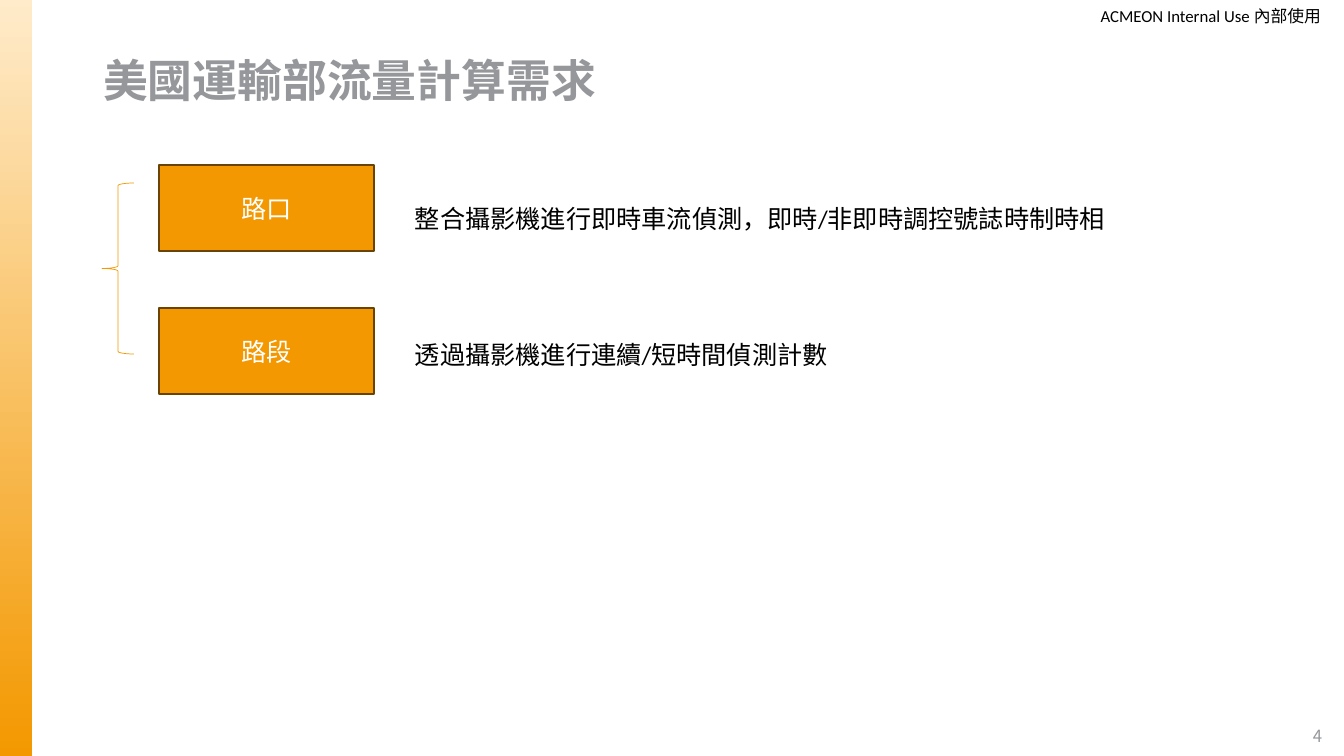
from dataclasses import dataclass

from lxml.etree import SubElement
from pptx import Presentation
from pptx.dml.color import RGBColor
from pptx.enum.shapes import MSO_SHAPE as Preset
from pptx.enum.text import MSO_ANCHOR as Anchor, PP_ALIGN as Align
from pptx.oxml.ns import qn
from pptx.util import Emu, Pt

SLIDE_WIDTH, SLIDE_HEIGHT = 1344, 756
SCALE = 914400 / 100.8


def px(length):
    return Emu(round(length * SCALE))


@dataclass(frozen=True)
class Theme:
    orange: str = "F39800"
    pale: str = "FFEBCA"
    outline: str = "6B4300"
    gray: str = "95979B"
    black: str = "000000"
    white: str = "FFFFFF"
    title_size: int = 32
    body_size: int = 18
    small_size: int = 12
    latin: str = "Calibri"
    cjk: str = "Noto Sans CJK TC"
    number: str = "Noto Sans CJK SC"


class SlideBuilder:
    def __init__(self, slide, theme):
        self.slide = slide
        self.theme = theme

    def set_text(self, shape, text, size, color, align=Align.LEFT,
                 anchor=Anchor.MIDDLE, bold=False, font=None, inset=None):
        frame = shape.text_frame
        frame.word_wrap = True
        frame.vertical_anchor = anchor
        if inset is not None:
            frame.margin_left = frame.margin_right = px(inset)
            frame.margin_top = frame.margin_bottom = px(inset)
        paragraph = frame.paragraphs[0]
        paragraph.alignment = align
        run = paragraph.add_run()
        run.text = text
        run.font.size = Pt(size)
        run.font.bold = bold
        run.font.color.rgb = RGBColor.from_string(color)
        run.font.name = font or self.theme.latin
        east_asian = SubElement(run.font._element, qn("a:ea"))
        east_asian.set("typeface", self.theme.cjk)
        return paragraph

    def title(self, text, *box):
        shape = self.slide.shapes.title
        shape.left, shape.top, shape.width, shape.height = map(px, box)
        paragraph = self.set_text(shape, text, self.theme.title_size, self.theme.gray,
                                  bold=True, font=self.theme.cjk)
        paragraph.line_spacing = 0.9

    def text(self, text, box, size, color, **style):
        shape = self.slide.shapes.add_textbox(*map(px, box))
        self.set_text(shape, text, size, color, **style)

    def shape(self, preset, box, line=None, width=1.0):
        shape = self.slide.shapes.add_shape(preset, *map(px, box))
        shape.shadow.inherit = False
        shape.fill.background()
        if line:
            shape.line.color.rgb = RGBColor.from_string(line)
            shape.line.width = Pt(width)
        else:
            shape.line.fill.background()
        return shape

    def side_band(self, *box):
        fill = self.shape(Preset.RECTANGLE, box).fill
        fill.gradient()
        fill.gradient_angle = 270
        colors = (self.theme.pale, self.theme.orange)
        for position, (stop, color) in enumerate(zip(fill.gradient_stops, colors)):
            stop.position = position
            stop.color.rgb = RGBColor.from_string(color)

    def label_box(self, text, *box):
        shape = self.shape(Preset.RECTANGLE, box, self.theme.outline)
        shape.fill.solid()
        shape.fill.fore_color.rgb = RGBColor.from_string(self.theme.orange)
        self.set_text(shape, text, self.theme.body_size, self.theme.white, Align.CENTER)

    def brace(self, *box):
        self.shape(Preset.LEFT_BRACE, box, self.theme.orange, 0.5)


def main():
    presentation = Presentation()
    presentation.slide_width = px(SLIDE_WIDTH)
    presentation.slide_height = px(SLIDE_HEIGHT)
    slide = presentation.slides.add_slide(presentation.slide_layouts[5])
    theme = Theme()
    builder = SlideBuilder(slide, theme)

    builder.text("ACMEON Internal Use 內部使用", (1069, 0, 252, 32),
                 theme.small_size, theme.black, align=Align.RIGHT, inset=0)
    builder.side_band(0, 0, 32, SLIDE_HEIGHT)
    builder.title("美國運輸部流量計算需求", 93, 40, 1159, 86)
    builder.text("4", (1296, 716, 43, 40), theme.small_size, theme.gray,
                 align=Align.CENTER, font=theme.number)

    rows = [
        ("路口", "整合攝影機進行即時車流偵測，即時/非即時調控號誌時制時相", 718),
        ("路段", "透過攝影機進行連續/短時間偵測計數", 437),
    ]
    for index, (label, description, width) in enumerate(rows):
        builder.label_box(label, 159, 165 + 143 * index, 215, 86)
        builder.text(description, (405, 198 + 136 * index, width, 40),
                     theme.body_size, theme.black, anchor=Anchor.TOP)
    builder.brace(102, 183, 32, 171)

    presentation.save("out.pptx")


if __name__ == "__main__":
    main()
